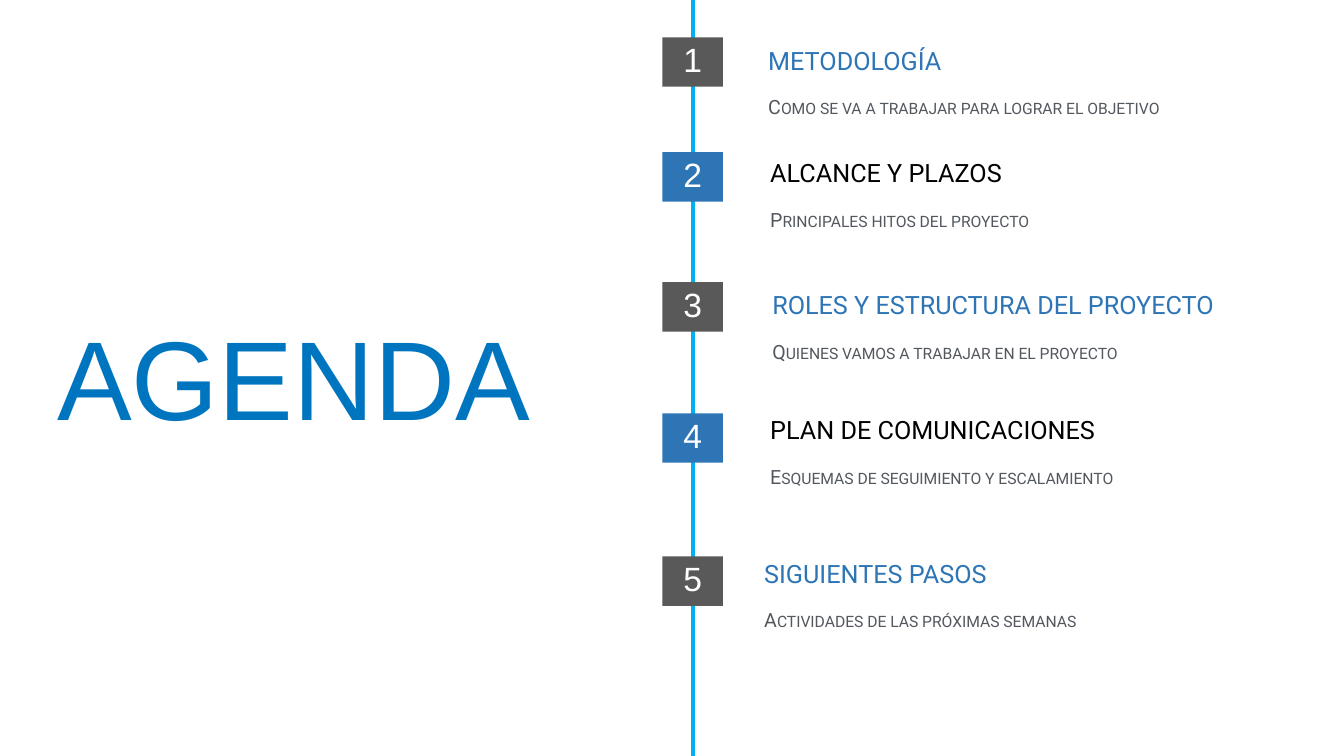
from dataclasses import dataclass

from pptx import Presentation
from pptx.dml.color import RGBColor
from pptx.enum.shapes import MSO_CONNECTOR, MSO_SHAPE
from pptx.enum.text import MSO_ANCHOR, MSO_AUTO_SIZE, PP_ALIGN
from pptx.oxml.ns import qn
from pptx.util import Inches, Pt

RECT = MSO_SHAPE.RECTANGLE
STRAIGHT = MSO_CONNECTOR.STRAIGHT
MIDDLE = MSO_ANCHOR.MIDDLE
LEFT, CENTER = PP_ALIGN.LEFT, PP_ALIGN.CENTER
GROW = MSO_AUTO_SIZE.SHAPE_TO_FIT_TEXT


@dataclass(frozen=True)
class Theme:
    line: str = "00B0F0"
    title: str = "0075BF"
    gray: str = "595959"
    blue: str = "2E75B6"
    black: str = "000000"
    white: str = "FFFFFF"
    note: str = "53585F"
    sans: str = "Arial"
    body: str = "Roboto"
    title_size: int = 80
    badge_size: int = 24
    head_size: int = 18
    note_size: int = 14


THEME = Theme()
AXIS = 6.87
BADGE_W, BADGE_H = 0.6, 0.49
TEXT_H = 0.9

# badge top, text left, text top, text width, heading, note
TOPICS = [
    (0.37, 7.56, 0.33, 5.06, "METODOLOGÍA",
     "Como se va a trabajar para lograr el objetivo"),
    (1.51, 7.58, 1.45, 5.06, "ALCANCE Y PLAZOS",
     "Principales hitos del proyecto"),
    (2.8, 7.6, 2.76, 5.34, "ROLES Y ESTRUCTURA DEL PROYECTO",
     "Quienes vamos a trabajar en el proyecto"),
    (4.1, 7.58, 4, 5.06, "PLAN DE COMUNICACIONES",
     "Esquemas de seguimiento y escalamiento"),
    (5.52, 7.52, 5.42, 5.34, "SIGUIENTES PASOS",
     "Actividades de las próximas semanas"),
]


def assign(target, values):
    for name, value in values.items():
        setattr(target, name, value)


def write(para, text, font, size, color, **layout):
    """Add one styled run and set the paragraph's layout."""
    assign(para, layout)
    run = para.add_run()
    run.text = text
    assign(run.font, {"name": font, "size": Pt(size)})
    run.font.color.rgb = RGBColor.from_string(color)
    return run


def set_frame(frame, inset):
    pad = Inches(inset)
    assign(frame, {"word_wrap": True, "vertical_anchor": MIDDLE,
                   "margin_left": pad, "margin_right": pad,
                   "margin_top": pad, "margin_bottom": pad})


def add_axis(slide):
    axis = slide.shapes.add_connector(
        STRAIGHT, Inches(AXIS), Inches(7.5), Inches(AXIS), 0)
    axis.line.color.rgb = RGBColor.from_string(THEME.line)
    axis.line.width = Pt(3)
    props = axis._element.spPr
    props.append(props.makeelement(qn("a:effectLst"), {}))


def add_title(slide, text):
    box = slide.shapes.add_textbox(
        Inches(0.47), Inches(3.01), Inches(4.94), Inches(1.45))
    assign(box.text_frame, {"word_wrap": False, "auto_size": GROW})
    write(box.text_frame.paragraphs[0], text, THEME.sans,
          THEME.title_size, THEME.title)


def add_badge(slide, top, number, color):
    badge = slide.shapes.add_shape(
        RECT, Inches(AXIS - BADGE_W / 2), Inches(top),
        Inches(BADGE_W), Inches(BADGE_H))
    badge.shadow.inherit = False
    badge.fill.solid()
    badge.fill.fore_color.rgb = RGBColor.from_string(color)
    badge.line.fill.background()
    set_frame(badge.text_frame, 0)
    write(badge.text_frame.paragraphs[0], str(number), THEME.sans,
          THEME.badge_size, THEME.white, alignment=CENTER,
          line_spacing=Pt(25), space_before=Pt(6))


def add_topic(slide, left, top, width, head, note, color):
    box = slide.shapes.add_textbox(
        Inches(left), Inches(top), Inches(width), Inches(TEXT_H))
    frame = box.text_frame
    set_frame(frame, 0.06)
    write(frame.paragraphs[0], head, THEME.body, THEME.head_size, color,
          alignment=LEFT, line_spacing=Pt(26), space_before=Pt(6))
    run = write(frame.add_paragraph(), note, THEME.body, THEME.note_size,
                THEME.note, alignment=LEFT, line_spacing=Pt(25),
                space_before=Pt(6))
    run._r.get_or_add_rPr().set("cap", "small")


def main():
    deck = Presentation()
    assign(deck, {"slide_width": Inches(13.33), "slide_height": Inches(7.5)})
    slide = deck.slides.add_slide(deck.slide_layouts[6])
    add_axis(slide)
    add_title(slide, "AGENDA")
    for number, (y, left, top, width, head, note) in enumerate(TOPICS, 1):
        odd = number % 2
        add_badge(slide, y, number, THEME.gray if odd else THEME.blue)
        add_topic(slide, left, top, width, head, note,
                  THEME.blue if odd else THEME.black)
    deck.save("out.pptx")


if __name__ == "__main__":
    main()
